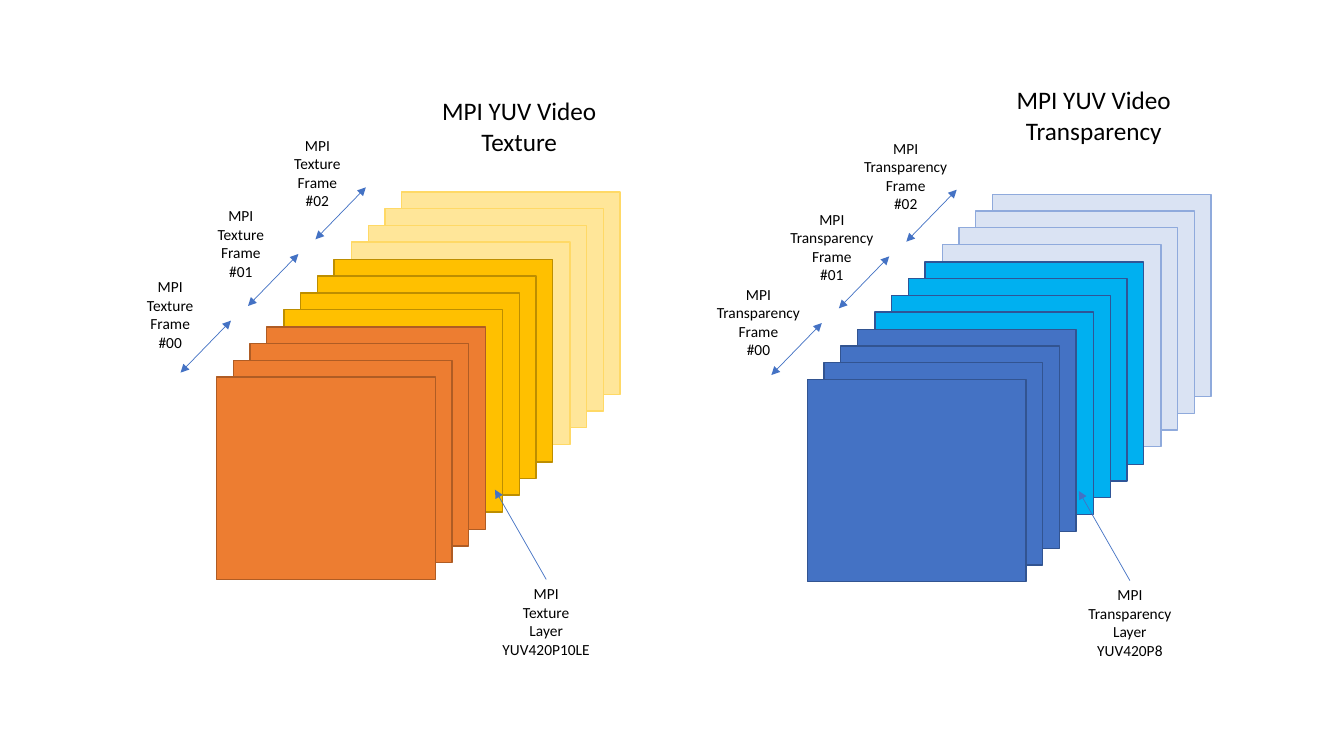
from lxml import etree
from pptx import Presentation
from pptx import util as u
from pptx.dml.color import RGBColor
from pptx.enum import shapes, text
from pptx.oxml.ns import qn

HUES = {
    "ink": "000000", "arrow": "4472C4",
    "orange": "ED7D31", "rust": "AF5C24",
    "gold": "FFC000", "bronze": "BD8E00",
    "cream": "FFE699", "sand": "FFD966",
    "blue": "4472C4", "navy": "325491",
    "cyan": "00B0F0", "steel": "2F5597",
    "pale": "DAE3F3", "mist": "8FAADC",
}


class Board:
    font = "Calibri"

    def __init__(self, slide):
        self.slide = slide

    def hue(self, name):
        return RGBColor.from_string(HUES[name])

    def layer(self, x, y, fill, edge):
        box = self.slide.shapes.add_shape(
            shapes.MSO_SHAPE.RECTANGLE, u.Cm(x), u.Cm(y), u.Cm(5.51), u.Cm(5.1))
        box.shadow.inherit = False
        box.fill.solid()
        box.fill.fore_color.rgb = self.hue(fill)
        box.line.color.rgb = self.hue(edge)
        box.line.width = u.Pt(1)

    def label(self, x, y, wide, high, lines, size=11):
        box = self.slide.shapes.add_textbox(u.Cm(x), u.Cm(y), u.Cm(wide), u.Cm(high))
        frame = box.text_frame
        frame.word_wrap = True
        frame.auto_size = text.MSO_AUTO_SIZE.SHAPE_TO_FIT_TEXT
        frame.text = "\n".join(lines)
        for para in frame.paragraphs:
            para.alignment = text.PP_ALIGN.CENTER
            para.font.name = self.font
            para.font.size = u.Pt(size)
            para.font.color.rgb = self.hue("ink")
        return box

    def arrow(self, x1, y1, x2, y2, ends):
        line = self.slide.shapes.add_connector(
            shapes.MSO_CONNECTOR.STRAIGHT, u.Cm(x1), u.Cm(y1), u.Cm(x2), u.Cm(y2))
        line.line.color.rgb = self.hue("arrow")
        line.line.width = u.Pt(0.5)
        for end in ends:
            etree.SubElement(line.line._get_or_add_ln(), qn(f"a:{end}"), type="triangle")
        etree.SubElement(line._element.spPr, qn("a:effectLst"))
        return line

    def stack(self, x, y, tones):
        # Three frames of four layers, drawn from the back
        for frame in (2, 1, 0):
            for depth in (3, 2, 1, 0):
                shift = frame * 1.7 + depth * 0.42
                self.layer(x + shift, y - shift, *tones[frame])
        # Span of each frame
        for frame in range(3):
            right, top = x + 0.36 + frame * 1.7, y - 1.42 - frame * 1.68
            self.arrow(right, top, right - 1.27, top + 1.31, ("headEnd", "tailEnd"))

    def note(self, x, y, lines):
        wide = 2.95
        box = self.label(x, y, wide, 2.13, lines)
        mid = x + wide / 2
        line = self.arrow(mid, y, mid - 1.29, y - 2.26, ("tailEnd",))
        line.begin_connect(box, 0)


def main():
    deck = Presentation()
    deck.slide_width, deck.slide_height = u.Cm(33.87), u.Cm(19.05)
    board = Board(deck.slides.add_slide(deck.slide_layouts[6]))

    # Texture video
    board.stack(5.46, 9.5, [("orange", "rust"), ("gold", "bronze"), ("cream", "sand")])
    board.label(10.01, 2.29, 6.15, 1.8, ["MPI YUV Video Texture"], 18)
    for num, (x, y) in enumerate([(3.3, 6.86), (5.08, 5.08), (7.01, 3.3)]):
        board.label(x, y, 1.98, 2.13, [f"MPI Texture Frame #{num:02}"])
    board.note(12.29, 14.6, ["MPI", "Texture", "Layer YUV420P10LE"])

    # Transparency video
    board.stack(20.35, 9.56, [("blue", "navy"), ("cyan", "steel"), ("pale", "mist")])
    board.label(24.49, 2.01, 6.15, 1.8, ["MPI YUV Video Transparency"], 18)
    for num, (x, y) in enumerate([(17.78, 7.06), (19.63, 5.16), (21.49, 3.38)]):
        board.label(x, y, 2.67, 2.13, ["MPI Transparency", "Frame", f"#{num:02}"])
    board.note(27, 14.63, ["MPI", "Transparency", "Layer YUV420P8"])

    deck.save("out.pptx")


if __name__ == "__main__":
    main()
